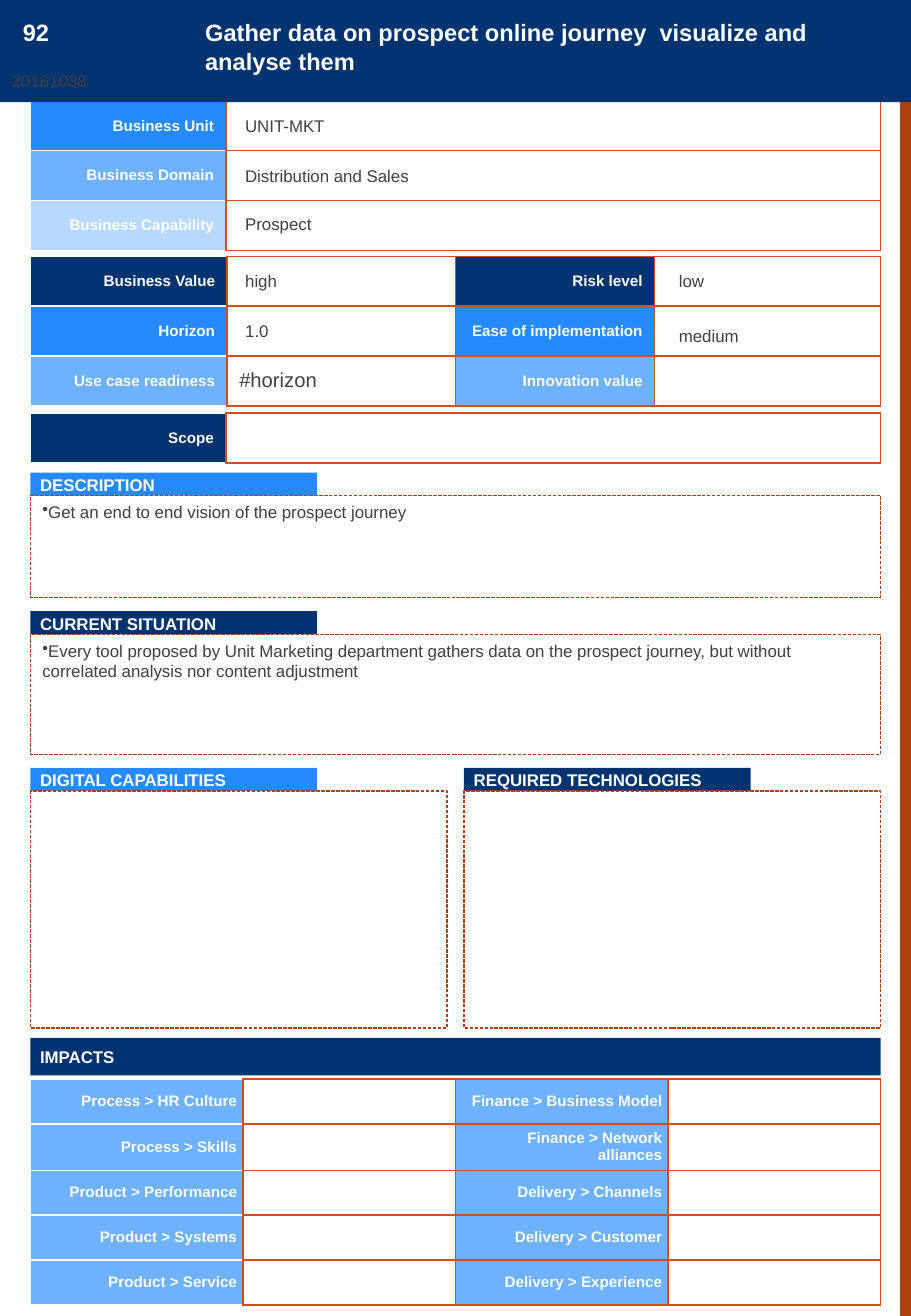
from dataclasses import dataclass

import pptx
import pptx.dml.color
import pptx.enum.dml
import pptx.enum.shapes
import pptx.enum.text
import pptx.oxml.ns
import pptx.util
from lxml import etree

Inches = pptx.util.Inches
Pt = pptx.util.Pt
RGBColor = pptx.dml.color.RGBColor
Align = pptx.enum.text.PP_ALIGN
Anchor = pptx.enum.text.MSO_ANCHOR
qn = pptx.oxml.ns.qn

NAVY = RGBColor(0x00, 0x33, 0x6F)
BLUE = RGBColor(0x26, 0x8A, 0xFF)
LIGHT = RGBColor(0x6E, 0xB1, 0xFF)
PALE = RGBColor(0xB7, 0xD8, 0xFF)
WHITE = RGBColor(0xFF, 0xFF, 0xFF)
GREY = RGBColor(0x40, 0x40, 0x40)
ORANGE = RGBColor(0xD8, 0x4D, 0x16)
RUST = RGBColor(0xB2, 0x3F, 0x12)

LEFT, WIDTH = 0.25, 7
RIGHT_PANEL = 3.82
PANEL_WIDTH = 3.43
LABEL_WIDTH = 1.61


@dataclass
class Cell:
    text: str = ""
    fill: RGBColor = WHITE


@dataclass
class Grid:
    top: float
    row_height: float
    cols: list[float]
    rows: list[list[Cell]]
    inset: float = 0.1


@dataclass
class Section:
    title: str
    fill: RGBColor
    left: float
    top: float
    width: float
    height: float
    body: str = ""


@dataclass
class Value:
    text: str
    left: float
    top: float
    width: float


GRIDS = [
    Grid(0.83, 0.41, [LABEL_WIDTH, WIDTH - LABEL_WIDTH], [
        [Cell("Business Unit", BLUE), Cell()],
        [Cell("Business Domain", LIGHT), Cell()],
        [Cell("Business Capability", PALE), Cell()],
    ]),
    Grid(2.11, 0.41, [1.62, 1.88, 1.64, 1.86], [
        [Cell("Business Value", NAVY), Cell(), Cell("Risk level", NAVY), Cell()],
        [Cell("Horizon", BLUE), Cell(), Cell("Ease of implementation", BLUE), Cell()],
        [Cell("Use case readiness", LIGHT), Cell("#horizon"),
         Cell("Innovation value", LIGHT), Cell()],
    ]),
    Grid(3.4, 0.41, [LABEL_WIDTH, WIDTH - LABEL_WIDTH], [[Cell("Scope", NAVY), Cell()]]),
    Grid(8.88, 0.37, [WIDTH / 4] * 4, [
        [Cell(first, LIGHT), Cell(), Cell(second, LIGHT), Cell()]
        for first, second in [
            ("Process > HR Culture", "Finance > Business Model"),
            ("Process > Skills", "Finance > Network alliances"),
            ("Product > Performance", "Delivery > Channels"),
            ("Product > Systems", "Delivery > Customer"),
            ("Product > Service", "Delivery > Experience"),
        ]
    ], inset=0.05),
]

SECTIONS = [
    Section("DESCRIPTION", BLUE, LEFT, 3.89, WIDTH, 0.84,
            "Get an end to end vision of the prospect journey"),
    Section("CURRENT SITUATION", NAVY, LEFT, 5.03, WIDTH, 0.99,
            "Every tool proposed by Unit Marketing department gathers data on the prospect "
            "journey, but without correlated analysis nor content adjustment"),
    Section("DIGITAL CAPABILITIES", BLUE, LEFT, 6.32, PANEL_WIDTH, 1.95),
    Section("REQUIRED TECHNOLOGIES", NAVY, RIGHT_PANEL, 6.32, PANEL_WIDTH, 1.95),
]

VALUES = [
    Value("UNIT-MKT", 1.92, 0.9, 4.77),
    Value("Distribution and Sales", 1.92, 1.31, 4.77),
    Value("Prospect", 1.92, 1.71, 4.77),
    Value("high", 1.92, 2.18, 1.75),
    Value("1.0", 1.92, 2.59, 1.75),
    Value("low", 5.49, 2.18, 1.75),
    Value("medium", 5.49, 2.63, 1.75),
]


def write(tf, text: str, *, size: float = 10, color: RGBColor = GREY, bold: bool = False,
          align=Align.LEFT, bullet: bool = False) -> None:
    tf.word_wrap = True
    p = tf.paragraphs[0]
    p.alignment = align
    if bullet:
        etree.SubElement(p._p.get_or_add_pPr(), qn("a:buChar")).set("char", "•")
    r = p.add_run()
    r.text = text
    r.font.name = "Arial"
    r.font.size = Pt(size)
    r.font.bold = bold
    r.font.color.rgb = color


def add_box(s, left: float, top: float, width: float, height: float, fill: RGBColor):
    """Add a flat, borderless rectangle whose text starts at the top."""
    sp = s.shapes.add_shape(pptx.enum.shapes.MSO_SHAPE.RECTANGLE, Inches(left), Inches(top),
                            Inches(width), Inches(height))
    sp.shadow.inherit = False
    sp.fill.solid()
    sp.fill.fore_color.rgb = fill
    sp.line.fill.background()
    sp.text_frame.vertical_anchor = Anchor.TOP
    return sp


def add_heading(s, text: str, left: float, top: float, width: float, height: float,
                fill: RGBColor) -> None:
    tf = add_box(s, left, top, width, height, fill).text_frame
    tf.vertical_anchor = Anchor.MIDDLE
    tf.margin_left = tf.margin_right = Inches(0.08)
    write(tf, text, color=WHITE, bold=True)


def add_section(s, section: Section) -> None:
    add_heading(s, section.title, section.left, section.top, 2.36, 0.2, section.fill)
    sp = add_box(s, section.left, section.top + 0.19, section.width, section.height, WHITE)
    sp.line.color.rgb = RUST
    sp.line.width = Pt(0)
    sp.line.dash_style = pptx.enum.dml.MSO_LINE.SQUARE_DOT
    if section.body:
        write(sp.text_frame, section.body, bullet=True)


def set_borders(cell, outer: RGBColor) -> None:
    """Draw the right border in orange and the other three in the outer colour."""
    for side, color in zip("LRTB", (outer, ORANGE, outer, outer)):
        ln = etree.SubElement(cell._tc.get_or_add_tcPr(), qn(f"a:ln{side}"), w=str(Pt(1)))
        fill = etree.SubElement(ln, qn("a:solidFill"))
        etree.SubElement(fill, qn("a:srgbClr"), val=str(color))


def add_grid(s, grid: Grid) -> None:
    table = s.shapes.add_table(
        len(grid.rows), len(grid.cols), Inches(LEFT), Inches(grid.top), Inches(WIDTH),
        Inches(grid.row_height * len(grid.rows))).table
    table.first_row = table.horz_banding = False
    for column, width in zip(table.columns, grid.cols):
        column.width = Inches(width)
    for i, row in enumerate(grid.rows):
        table.rows[i].height = Inches(grid.row_height)
        for j, item in enumerate(row):
            cell = table.cell(i, j)
            set_borders(cell, WHITE if j == 0 else ORANGE)
            cell.fill.solid()
            cell.fill.fore_color.rgb = item.fill
            cell.vertical_anchor = Anchor.MIDDLE
            cell.margin_left = cell.margin_right = Inches(grid.inset)
            cell.margin_top = cell.margin_bottom = Inches(0.05 if item.text else 0)
            if item.text and item.fill == WHITE:
                write(cell.text_frame, item.text, size=12)
            elif item.text:
                write(cell.text_frame, item.text, size=9, color=WHITE, bold=True,
                      align=Align.RIGHT)


def add_header(s) -> None:
    add_box(s, 0, -0.01, 7.5, 0.85, NAVY)
    title = add_box(s, 1.59, 0.1, 5.41, 0.34, NAVY)
    write(title.text_frame, "Gather data on prospect online journey  visualize and analyse them",
          size=14, color=WHITE, bold=True)
    number = add_box(s, 0.09, 0.1, 0.8, 0.34, NAVY)
    write(number.text_frame, "92", size=14, color=WHITE, bold=True)
    reference = add_box(s, 0, 0.53, 1.06, 0.29, NAVY)
    write(reference.text_frame, "20161038")


def main() -> None:
    prs = pptx.Presentation()
    prs.slide_width, prs.slide_height = Inches(7.5), Inches(10.83)
    s = prs.slides.add_slide(prs.slide_layouts[6])
    add_box(s, 7.41, 0, 0.09, 10.83, RUST)
    for grid in GRIDS:
        add_grid(s, grid)
    add_header(s)
    for section in SECTIONS:
        add_section(s, section)
    add_heading(s, "IMPACTS", LEFT, 8.54, WIDTH, 0.31, NAVY)
    for value in VALUES:
        tb = s.shapes.add_textbox(Inches(value.left), Inches(value.top), Inches(value.width),
                                  Inches(0.29))
        write(tb.text_frame, value.text)
    prs.save("out.pptx")


if __name__ == "__main__":
    main()
